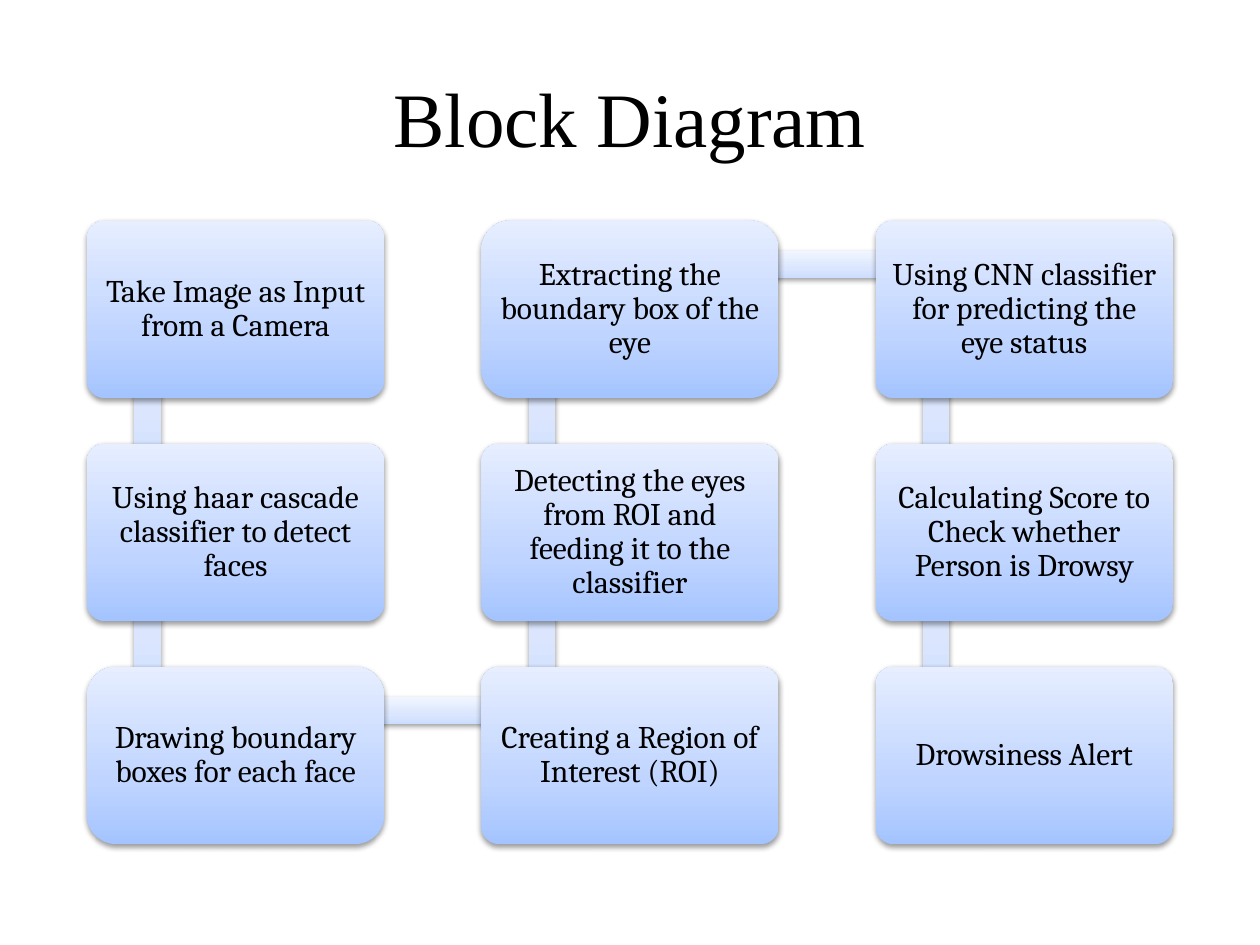
from dataclasses import dataclass
from lxml import etree
from pptx import Presentation
from pptx.dml.color import RGBColor
from pptx.enum.shapes import MSO_SHAPE
from pptx.enum.text import MSO_ANCHOR, PP_ALIGN
from pptx.oxml.ns import qn
from pptx.util import Inches, Pt

ROUNDED = MSO_SHAPE.ROUNDED_RECTANGLE
TURN = MSO_SHAPE.FLOWCHART_ALTERNATE_PROCESS
BAR = MSO_SHAPE.RECTANGLE
CENTER, MIDDLE = PP_ALIGN.CENTER, MSO_ANCHOR.MIDDLE
TITLE_ONLY = 5


@dataclass(frozen=True)
class Theme:
    text: str = "000000"
    shadow: str = "000000"
    box_fill: tuple = ((0, "A4C4FF"), (35, "BFD4FF"), (100, "E6EEFF"))
    bar_fill: tuple = ((0, "CDDDFE"), (35, "DBE6FE"), (100, "F0F5FF"))
    title_font: str = "Times New Roman"
    title_size: int = 44
    box_font: str = "Cambria"
    box_size: int = 18


class DiagramSlide:
    def __init__(self, slide, theme):
        self.slide = slide
        self.theme = theme

    def set_text(self, frame, text, font, size):
        frame.text = text
        frame.word_wrap = True
        frame.vertical_anchor = MIDDLE
        paragraph = frame.paragraphs[0]
        paragraph.alignment = CENTER
        paragraph.font.name = font
        paragraph.font.size = Pt(size)
        paragraph.font.color.rgb = RGBColor.from_string(self.theme.text)
        return paragraph

    def title(self, text, left, top, width, height):
        title = self.slide.shapes.title
        title.left, title.top = Inches(left), Inches(top)
        title.width, title.height = Inches(width), Inches(height)
        self.set_text(title.text_frame, text, self.theme.title_font, self.theme.title_size)

    def block(self, kind, left, top, width, height, stops):
        block = self.slide.shapes.add_shape(
            kind, Inches(left), Inches(top), Inches(width), Inches(height))
        block.line.fill.background()
        # Three-stop gradient running upwards, fixed to the slide
        block.fill.gradient()
        block.fill.gradient_angle = 90
        properties = block.element.spPr
        gradient = properties.find(qn("a:gradFill"))
        gradient.set("rotWithShape", "0")
        stop_list = gradient.find(qn("a:gsLst"))
        for stop in list(stop_list):
            stop_list.remove(stop)
        for position, color in stops:
            stop = etree.SubElement(stop_list, qn("a:gs"), pos=str(position * 1000))
            etree.SubElement(stop, qn("a:srgbClr"), val=color)
        # Soft shadow below
        block.shadow.inherit = False
        shadow = etree.SubElement(
            properties.find(qn("a:effectLst")), qn("a:outerShdw"),
            blurRad=str(Pt(3.1)), dist=str(Pt(1.6)), dir="5400000", rotWithShape="0")
        color = etree.SubElement(shadow, qn("a:srgbClr"), val=self.theme.shadow)
        etree.SubElement(color, qn("a:alpha"), val="38000")
        return block

    def bar(self, start, end, thickness):
        """Bar between two points on one row or one column."""
        (x1, y1), (x2, y2) = start, end
        length = abs(x2 - x1) + abs(y2 - y1)
        bar = self.block(BAR, (x1 + x2 - length) / 2, (y1 + y2 - thickness) / 2,
                         length, thickness, self.theme.bar_fill)
        if x1 == x2:
            bar.rotation = 90 if y2 > y1 else 270

    def step(self, text, kind, left, top, width, height):
        step = self.block(kind, left, top, width, height, self.theme.box_fill)
        if kind == ROUNDED:
            step.adjustments[0] = 0.1
        frame = step.text_frame
        frame.margin_left = frame.margin_right = Inches(0.07)
        frame.margin_top = frame.margin_bottom = Inches(0.07)
        paragraph = self.set_text(frame, text, self.theme.box_font, self.theme.box_size)
        paragraph.line_spacing = 0.9


presentation = Presentation()
presentation.slide_width, presentation.slide_height = Inches(10), Inches(7.5)
diagram = DiagramSlide(
    presentation.slides.add_slide(presentation.slide_layouts[TITLE_ONLY]), Theme())

# Title
diagram.title("Block Diagram", 0.5, 0.3, 9, 1.25)

# Steps snake down, up and down through three columns
STEPS = [
    "Take Image as Input from a Camera",
    "Using haar cascade classifier to detect faces",
    "Drawing boundary boxes for each face",
    "Creating a Region of Interest (ROI)",
    "Detecting the eyes from ROI and feeding it to the classifier",
    "Extracting the boundary box of the eye",
    "Using CNN classifier for predicting the eye status",
    "Calculating Score to Check whether Person is Drowsy",
    "Drowsiness Alert",
]
ROWS = 3
LEFT, TOP = 0.69, 1.75
BOX_WIDTH, BOX_HEIGHT = 2.36, 1.41
COLUMN_STEP, ROW_STEP = 3.13, 1.77
ANCHOR_X, ANCHOR_Y = 0.48, 0.35
BAR_THICKNESS = 0.21


def corner(index):
    column, row = divmod(index, ROWS)
    if column % 2:
        row = ROWS - 1 - row
    return LEFT + column * COLUMN_STEP, TOP + row * ROW_STEP


def anchor(index):
    left, top = corner(index)
    return left + ANCHOR_X, top + ANCHOR_Y


# Each bar lies behind the two steps it joins
last = len(STEPS) - 1
for index, text in enumerate(STEPS):
    if index < last:
        diagram.bar(anchor(index), anchor(index + 1), BAR_THICKNESS)
    turns = index % ROWS == ROWS - 1 and index < last
    diagram.step(text, TURN if turns else ROUNDED, *corner(index), BOX_WIDTH, BOX_HEIGHT)

presentation.save("out.pptx")
